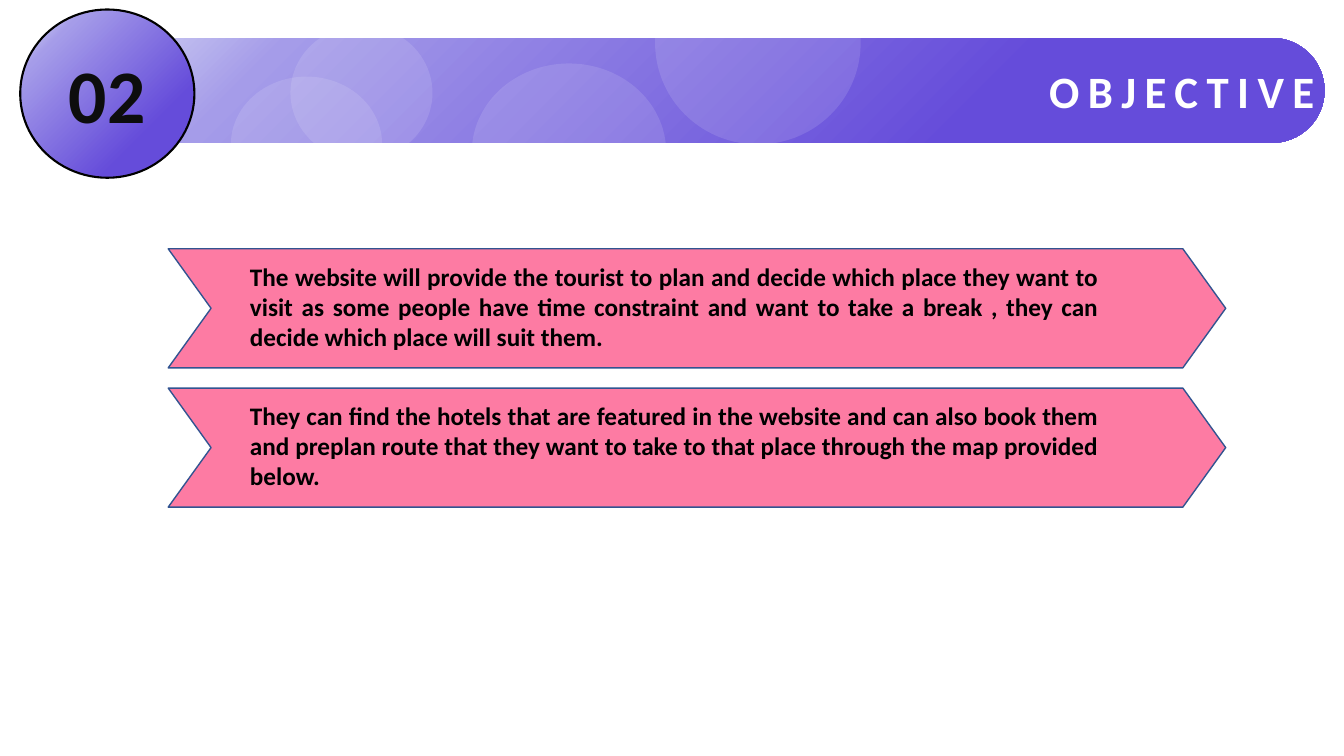
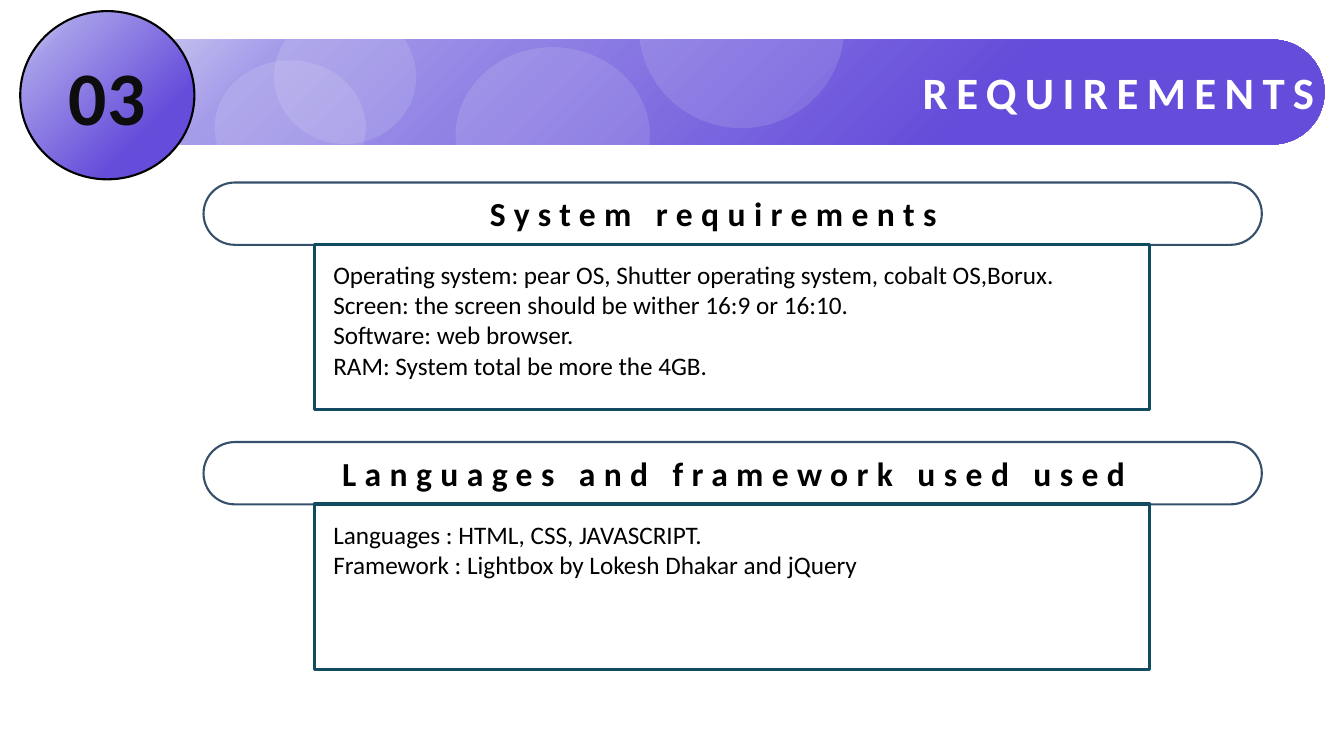
"""Build the objective and requirements slides of a travel website deck."""
from math import cos, pi, sin

from pptx import Presentation
from pptx.dml.color import RGBColor
from pptx.enum.shapes import MSO_SHAPE
from pptx.enum.text import MSO_ANCHOR, MSO_AUTO_SIZE, PP_ALIGN
from pptx.oxml import parse_xml
from pptx.oxml.ns import nsdecls, qn
from pptx.util import Cm, Pt

OBJECTIVES = [
    "The website will provide the tourist to plan and decide which place they want to visit "
    "as some people have time constraint and want to take a break , they can decide which "
    "place will suit them.",
    "They can find the hotels that are featured in the website and can also book them and "
    "preplan route that they want to take to that place through the map provided below.",
]
REQUIREMENTS = [
    {"heading": "System requirements", "left": 8.38, "width": 19.2, "lines": [
        "Operating system: pear OS, Shutter operating system, cobalt OS,Borux.",
        "Screen: the screen should be wither 16:9 or 16:10.",
        "Software: web browser.",
        "RAM: System total be more the 4GB.",
    ]},
    {"heading": "Languages and framework used used", "left": 7.32, "width": 22.35, "lines": [
        "Languages : HTML, CSS, JAVASCRIPT.",
        "Framework : Lightbox by Lokesh Dhakar and jQuery",
    ]},
]
BUBBLES = [(11.48, 1.19, 4.9, 4.47), (6.91, 0.23, 3.58, 3.4),
           (16.1, -1.88, 5.18, 5.11), (5.41, 1.52, 3.81, 3.4)]
GRADIENT = [(27, "654CDA"), (81, "A59CE9"), (100, "E5EBF7")]

FONT = "Calibri"
WHITE = RGBColor(0xFF, 0xFF, 0xFF)
BLACK = RGBColor(0, 0, 0)
NUMBER_INK = RGBColor(0x0D, 0x0D, 0x0D)
PINK = RGBColor(0xFD, 0x7B, 0xA3)
ARROW_EDGE = RGBColor(0x32, 0x54, 0x91)
PILL_EDGE = RGBColor(0x36, 0x4F, 0x6B)
PANEL_EDGE = RGBColor(0x11, 0x4B, 0x5F)

OVAL, CHEVRON = MSO_SHAPE.OVAL, MSO_SHAPE.CHEVRON
PILL, RECTANGLE = MSO_SHAPE.ROUNDED_RECTANGLE, MSO_SHAPE.RECTANGLE
LEFT, CENTER = PP_ALIGN.LEFT, PP_ALIGN.CENTER
RIGHT, JUSTIFY = PP_ALIGN.RIGHT, PP_ALIGN.JUSTIFY
MIDDLE, GROW = MSO_ANCHOR.MIDDLE, MSO_AUTO_SIZE.SHAPE_TO_FIT_TEXT

BAND_LEFT, BAND_RIGHT, BAND_HEIGHT, BAND_DROP = 0.51, 33.38, 2.64, 0.72
BADGE_WIDTH, BADGE_HEIGHT = 4.39, 4.24
ARC_STEPS = 48


def write(shape, lines, size, color, align, bold=False, spacing=0):
    """Fill a shape with one paragraph per line."""
    frame = shape.text_frame
    frame.word_wrap = True
    for index, line in enumerate(lines):
        para = frame.add_paragraph() if index else frame.paragraphs[0]
        para.alignment = align
        span = para.add_run()
        span.text = line
        span.font.name, span.font.size, span.font.bold = FONT, Pt(size), bold
        span.font.color.rgb = color
        if spacing:
            span.font._element.set("spc", str(spacing * 100))


def add_text(page, place, *style, **options):
    """Add a text box that grows with its text."""
    box = page.shapes.add_textbox(*map(Cm, place))
    write(box, *style, **options)
    box.text_frame.auto_size = GROW


def add_shape(page, kind, place, fill=None, edge=None, width=0):
    """Add a flat preset shape with optional fill and outline."""
    shape = page.shapes.add_shape(kind, *map(Cm, place))
    shape.shadow.inherit = False
    if fill is None:
        shape.fill.background()
    else:
        shape.fill.solid()
        shape.fill.fore_color.rgb = fill
    if edge is None:
        shape.line.fill.background()
    else:
        shape.line.color.rgb, shape.line.width = edge, Pt(width)
    return shape


def set_gradient(shape):
    """Apply the violet glow that spreads from the lower right corner."""
    shape.fill.background()
    stops = "".join(f'<a:gs pos="{pos * 1000}"><a:srgbClr val="{color}"/></a:gs>'
                    for pos, color in GRADIENT)
    glow = parse_xml(f'<a:gradFill {nsdecls("a")} rotWithShape="1"><a:gsLst>{stops}</a:gsLst>'
                     '<a:path path="circle"><a:fillToRect l="100000" t="100000"/></a:path>'
                     '</a:gradFill>')
    properties = shape._element.spPr
    properties.replace(properties.find(qn("a:noFill")), glow)


def add_header(page, number, title, top, shift):
    """Add the title band, the number badge and the bubbles."""
    radius = BAND_HEIGHT / 2
    band_top = top + BAND_DROP
    middle = band_top + radius
    angles = [pi * step / ARC_STEPS - pi / 2 for step in range(ARC_STEPS + 1)]
    outline = [(4.34, band_top)]
    outline += [(BAND_RIGHT - radius + radius * cos(angle), middle + radius * sin(angle))
                for angle in angles]
    outline += [(4.47, band_top + BAND_HEIGHT)]
    builder = page.shapes.build_freeform(Cm(BAND_LEFT), Cm(middle))
    builder.add_line_segments([(Cm(x), Cm(y)) for x, y in outline], close=True)
    band = builder.convert_to_shape()
    band.shadow.inherit = False
    band.line.fill.background()
    set_gradient(band)
    band.text_frame.vertical_anchor = MIDDLE
    write(band, [title], 32, WHITE, RIGHT, bold=True, spacing=6)

    badge = add_shape(page, OVAL, (BAND_LEFT, top, BADGE_WIDTH, BADGE_HEIGHT),
                      edge=BLACK, width=1.5)
    set_gradient(badge)
    badge.text_frame.vertical_anchor = MIDDLE
    write(badge, [number], 54, NUMBER_INK, CENTER, bold=True)

    for x, y, width, height in BUBBLES:
        bubble = add_shape(page, OVAL, (x + shift, y + shift, width, height), WHITE)
        color = bubble._element.spPr.find(qn("a:solidFill"))[0]
        color.append(parse_xml(f'<a:alpha {nsdecls("a")} val="12000"/>'))


deck = Presentation()
deck.slide_width, deck.slide_height = Cm(33.87), Cm(19.05)
blank = deck.slide_layouts[6]

page = deck.slides.add_slide(blank)
add_header(page, "02", "OBJECTIVE", top=0.24, shift=0.41)
for index, objective in enumerate(OBJECTIVES):
    top = 6.27 + 3.51 * index
    arrow = add_shape(page, CHEVRON, (4.24, top, 26.65, 3), PINK, ARROW_EDGE, 1)
    arrow.adjustments[0] = 0.36
    add_text(page, (6.05, top + 0.18, 21.89, 2.57), [objective], 18, BLACK, JUSTIFY, bold=True)

page = deck.slides.add_slide(blank)
add_header(page, "03", "REQUIREMENTS", top=0.28, shift=0)
for index, group in enumerate(REQUIREMENTS):
    top = 4.6 + 6.54 * index
    pill = add_shape(page, PILL, (5.13, top, 26.67, 1.57), edge=PILL_EDGE, width=1.5)
    pill.adjustments[0] = 0.5
    add_text(page, (group["left"], top + 0.14, group["width"], 1.27),
             [group["heading"]], 24, BLACK, CENTER, bold=True, spacing=6)
    add_shape(page, RECTANGLE, (7.92, top + 1.56, 21.06, 4.17), edge=PANEL_EDGE, width=2.25)
    height = 0.25 + 0.77 * len(group["lines"])
    add_text(page, (8.15, top + 1.81, 20.62, height), group["lines"], 18, BLACK, LEFT)

deck.save("out.pptx")
